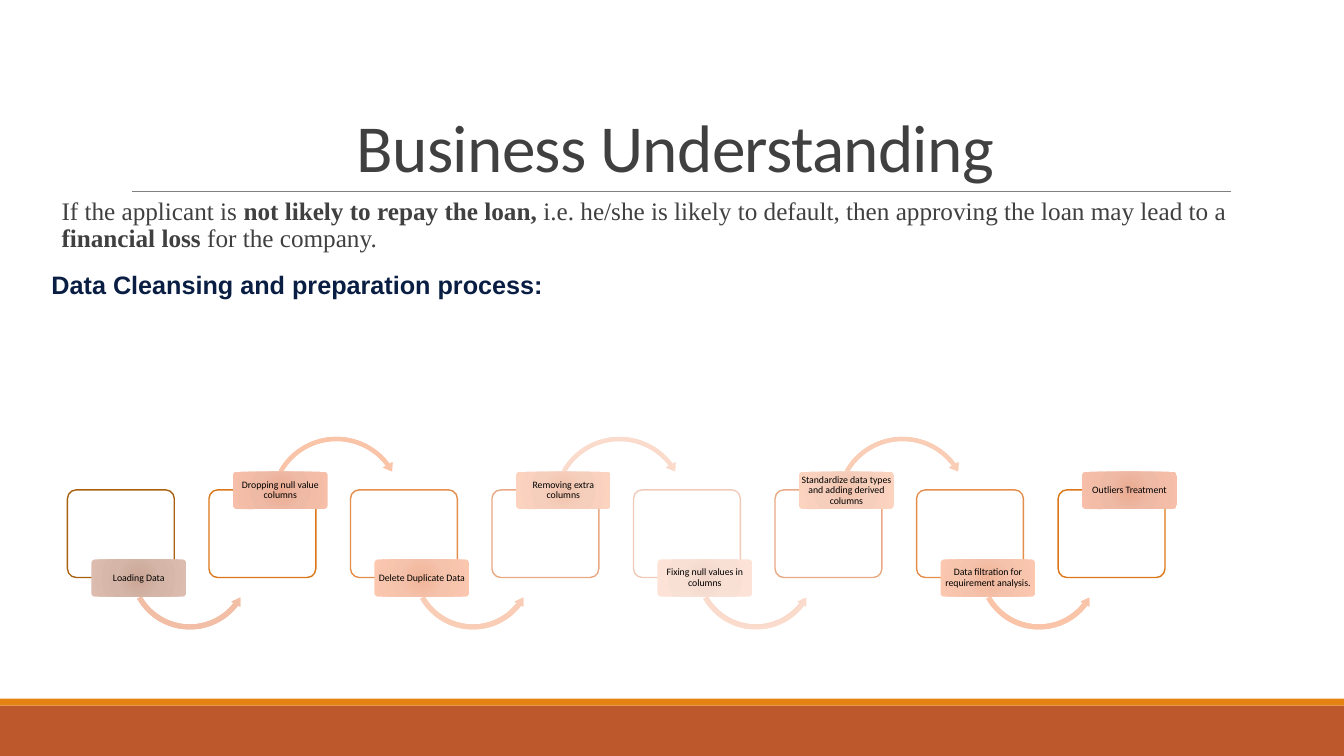
import dataclasses
import typing

import lxml.etree
import pptx
import pptx.dml.color
import pptx.enum.shapes
import pptx.enum.text
import pptx.oxml.ns
import pptx.util

KIND = pptx.enum.shapes.MSO_SHAPE
ALIGN = pptx.enum.text.PP_ALIGN
ANCHOR = pptx.enum.text.MSO_ANCHOR
WIDE = pptx.util.Inches(13.33)
HIGH = pptx.util.Inches(7.5)
Stops = tuple[str, str, str]


@dataclasses.dataclass(frozen=True)
class Theme:
    rust: str = "BD582C"
    amber: str = "E48312"
    rule: str = "808080"
    text: str = "404040"
    navy: str = "091E42"
    black: str = "000000"
    white: str = "FFFFFF"
    sans: str = "Calibri"
    serif: str = "Times New Roman"
    plain: str = "Arial"
    title: float = 48
    body: float = 18
    label: float = 7


@dataclasses.dataclass(frozen=True)
class Box:
    left: float
    top: float
    width: float
    height: float

    def emu(self) -> tuple[int, int, int, int]:
        return (int(WIDE * self.left / 100), int(HIGH * self.top / 100),
                int(WIDE * self.width / 100), int(HIGH * self.height / 100))

    def move(self, right: float) -> "Box":
        return dataclasses.replace(self, left=self.left + right)


@dataclasses.dataclass(frozen=True)
class Tone:
    line: str
    label: Stops


@dataclasses.dataclass(frozen=True)
class Step:
    text: str
    tone: Tone
    arrow: typing.Optional[Stops] = None


@dataclasses.dataclass(frozen=True)
class Side:
    label: Box
    arrow: Box
    kind: KIND
    bend: tuple[float, ...]


THEME = Theme()
PITCH = 10.53
PANEL = Box(5.02, 64.8, 7.95, 11.6)
LOWER = Side(Box(6.8, 74, 7.05, 4.93), Box(9.44, 66.93, 9.38, 16.67),
             KIND.LEFT_CIRCULAR_ARROW, (0.04, 4.7, 22.45, 90.24, 0.04))
UPPER = Side(Box(6.8, 62.4, 7.05, 4.93), Box(9.33, 57.33, 10.35, 18.4),
             KIND.CIRCULAR_ARROW, (0.03, 4.2, 194.05, 125.75, 0.04))

BROWN = Tone("A9610D", ("CBA696", "D4B5A7", "DCBCAE"))
DEEP = Tone("DB7718", ("EAAB92", "EFBAA5", "F7BFAA"))
WARM = Tone("E58D4A", ("F0B599", "F5C2AB", "FCC7AF"))
SOFT = Tone("E9AA83", ("F0C3AD", "F6CFBC", "FCD3BF"))
PALE = Tone("F0CBB9", ("F1D5C9", "F8E0D5", "FCE2D7"))
CLAY = ("EAAF92", "EFBCA4", "F7C2A9")
CORAL = ("F3B595", "F8C2A7", "FFC7AC")
PEACH = ("F2C0A5", "F7CCB5", "FED0B8")
BLUSH = ("F2CEBD", "F8D9CA", "FDDCCC")

STEPS = (
    Step("Loading Data", BROWN, CLAY),
    Step("Dropping null value columns", DEEP, CORAL),
    Step("Delete Duplicate Data", WARM, PEACH),
    Step("Removing extra columns", SOFT, BLUSH),
    Step("Fixing null values in columns", PALE, BLUSH),
    Step("Standardize data types and adding derived columns", SOFT, PEACH),
    Step("Data filtration for requirement analysis.", WARM, CORAL),
    Step("Outliers Treatment", DEEP),
)
CLAIM = (
    ("If the applicant is ", False),
    ("not likely to repay the loan,", True),
    (" i.e. he/she is likely to default, then approving the loan may lead to a ", False),
    ("financial loss", True),
    (" for the company.", False),
)


def color(code: str) -> pptx.dml.color.RGBColor:
    return pptx.dml.color.RGBColor.from_string(code)


def node(root, tag: str, **attrs: str):
    item = lxml.etree.SubElement(root, pptx.oxml.ns.qn(tag))
    for key, value in attrs.items():
        item.set(key, value)
    return item


def add_shape(slide, kind: KIND, box: Box, fill: str):
    shape = slide.shapes.add_shape(kind, *box.emu())
    shape.shadow.inherit = False
    shape.fill.solid()
    shape.fill.fore_color.rgb = color(fill)
    shape.line.fill.background()
    return shape


def shade(shape, stops: Stops) -> None:
    shape.fill.gradient()
    grad = shape._element.spPr.find(pptx.oxml.ns.qn("a:gradFill"))
    for child in list(grad):
        grad.remove(child)
    items = node(grad, "a:gsLst")
    for spot, code in zip((0, 45, 100), stops):
        node(node(items, "a:gs", pos=str(spot * 1000)), "a:srgbClr", val=code)
    ring = node(grad, "a:path", path="circle")
    node(ring, "a:fillToRect", **dict.fromkeys("ltrb", "100000"))


def style(para, face: str, size: float, code: str, space: float) -> None:
    para.font.name = face
    para.font.size = pptx.util.Pt(size)
    para.font.color.rgb = color(code)
    para.line_spacing = space


def add_text(slide, box: Box):
    frame = slide.shapes.add_textbox(*box.emu()).text_frame
    frame.word_wrap = True
    return frame


def add_frame(slide) -> None:
    add_shape(slide, KIND.RECTANGLE, Box(0, 93.33, 100, 6.67), THEME.rust)
    add_shape(slide, KIND.RECTANGLE, Box(0, 92.4, 100, 0.93), THEME.amber)
    left, top, width, _ = Box(9.83, 25.33, 81.75, 0).emu()
    rule = slide.shapes.add_connector(
        pptx.enum.shapes.MSO_CONNECTOR.STRAIGHT, left, top, left + width, top)
    rule.line.color.rgb = color(THEME.rule)
    rule.line.width = pptx.util.Pt(0.5)
    node(rule._element.spPr, "a:effectLst")


def add_title(slide) -> None:
    frame = add_text(slide, Box(9, 4.13, 82.5, 21.2))
    frame.vertical_anchor = ANCHOR.BOTTOM
    para = frame.paragraphs[0]
    run = para.add_run()
    run.text = "Business Understanding"
    run._r.get_or_add_rPr().set("spc", "-50")
    para.alignment = ALIGN.CENTER
    style(para, THEME.sans, THEME.title, THEME.text, 0.85)


def add_body(slide) -> None:
    frame = add_text(slide, Box(3.83, 25.6, 91.28, 39.07))
    frame.margin_left = frame.margin_right = 0
    claim, head = frame.paragraphs[0], frame.add_paragraph()
    for text, bold in CLAIM:
        run = claim.add_run()
        run.text = text
        run.font.bold = bold
    claim._p.get_or_add_pPr().set("marL", str(pptx.util.Inches(0.1)))
    style(claim, THEME.serif, THEME.body, THEME.text, 0.9)
    head.text = "Data Cleansing and preparation process:"
    head.font.bold = True
    style(head, THEME.plain, THEME.body, THEME.navy, 0.9)
    for para in (claim, head):
        para.space_before = pptx.util.Pt(12)
        para.space_after = pptx.util.Pt(2)


def add_step(slide, step: Step, side: Side, shift: float) -> None:
    panel = add_shape(slide, KIND.ROUNDED_RECTANGLE, PANEL.move(shift), THEME.white)
    panel.adjustments[0] = 0.1
    panel.line.color.rgb = color(step.tone.line)
    panel.line.width = pptx.util.Pt(1)
    if step.arrow:
        arrow = add_shape(slide, side.kind, side.arrow.move(shift), THEME.white)
        for index, value in enumerate(side.bend):
            arrow.adjustments[index] = value
        shade(arrow, step.arrow)
    label = add_shape(slide, KIND.ROUNDED_RECTANGLE, side.label.move(shift), THEME.white)
    label.adjustments[0] = 0.1
    shade(label, step.tone.label)
    frame = add_text(slide, side.label.move(shift))
    frame.vertical_anchor = ANCHOR.MIDDLE
    frame.margin_left = frame.margin_right = pptx.util.Inches(0.01)
    frame.margin_top = frame.margin_bottom = pptx.util.Inches(0.01)
    para = frame.paragraphs[0]
    para.text = step.text
    para.alignment = ALIGN.CENTER
    style(para, THEME.sans, THEME.label, THEME.black, 0.9)


def main() -> None:
    deck = pptx.Presentation()
    deck.slide_width, deck.slide_height = WIDE, HIGH
    slide = deck.slides.add_slide(deck.slide_layouts[6])
    add_frame(slide)
    add_title(slide)
    add_body(slide)
    for index, step in enumerate(STEPS):
        add_step(slide, step, UPPER if index % 2 else LOWER, index * PITCH)
    deck.save("out.pptx")


if __name__ == "__main__":
    main()
